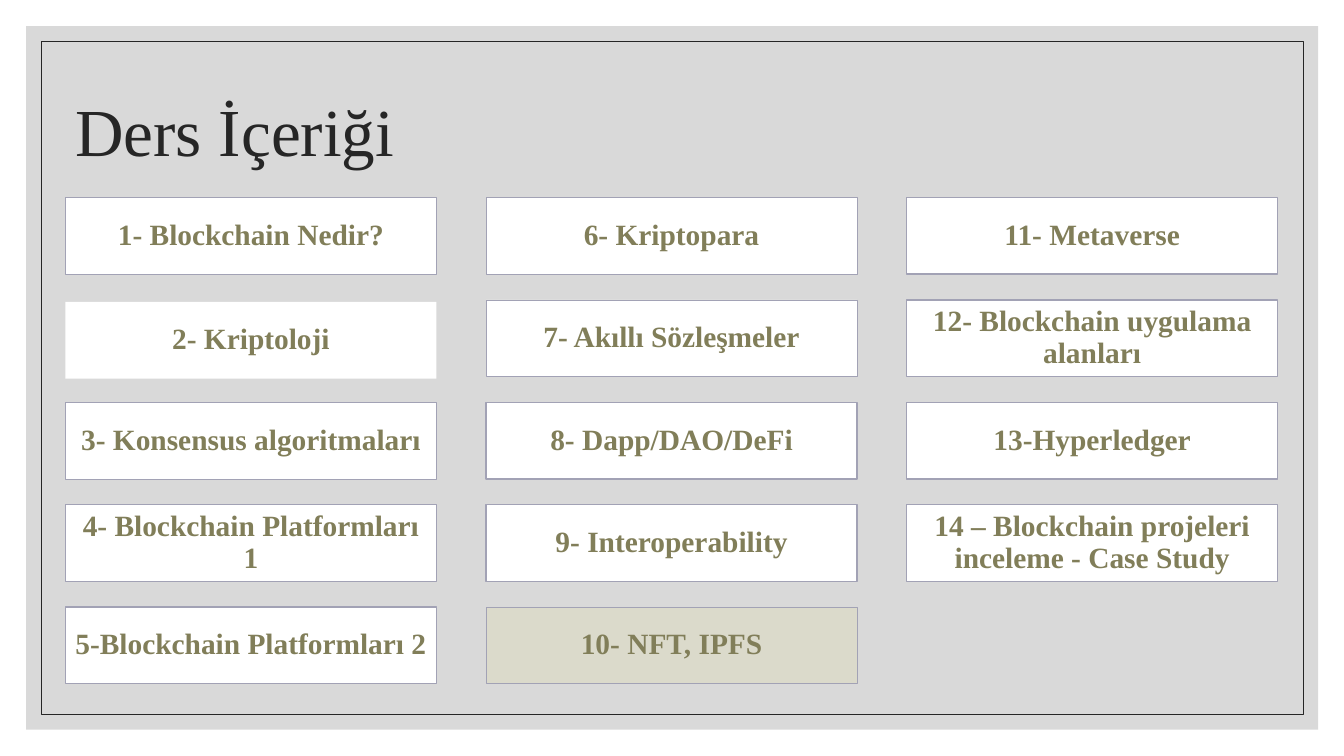
"""Build the course contents slide: a title above three columns of topic cards."""
from pptx import Presentation
from pptx import util as u
from pptx.dml.color import RGBColor
from pptx.enum import shapes, text

TITLE = "Ders İçeriği"
COLUMNS = [
    ["1- Blockchain Nedir?", "2- Kriptoloji", "3- Konsensus algoritmaları",
     "4- Blockchain Platformları 1", "5-Blockchain Platformları 2"],
    ["6- Kriptopara", "7- Akıllı Sözleşmeler", "8- Dapp/DAO/DeFi",
     "9- Interoperability", "10- NFT, IPFS"],
    ["11- Metaverse", "12- Blockchain uygulama alanları", "13-Hyperledger",
     "14 – Blockchain projeleri inceleme - Case Study"],
]
UNOUTLINED = "2- Kriptoloji"
TINTED = "10- NFT, IPFS"
THIN_OUTLINES = {"1- Blockchain Nedir?", "3- Konsensus algoritmaları",
                 "6- Kriptopara", "7- Akıllı Sözleşmeler", TINTED}

FONT = "Times New Roman"
WHITE = RGBColor(0xFF, 0xFF, 0xFF)
PANEL_GREY = RGBColor(0xD9, 0xD9, 0xD9)
DARK = RGBColor(0x26, 0x26, 0x26)
OLIVE = RGBColor(0x81, 0x7E, 0x59)
PALE_OLIVE = RGBColor(0xDB, 0xDA, 0xCB)
OUTLINE = RGBColor(0xA2, 0xA2, 0xB5)

SLIDE_WIDTH, SLIDE_HEIGHT = 33.87, 19.05
CARD_LEFT, CARD_TOP = 1.65, 4.98
CARD_WIDTH, CARD_HEIGHT = 9.35, 1.93
COLUMN_STEP, ROW_STEP = 10.6, 2.58
UNOUTLINED_DROP = 0.05


def add_rectangle(slide, left, top, width, height, fill=None, line=None, weight=1):
    shape = slide.shapes.add_shape(
        shapes.MSO_SHAPE.RECTANGLE, u.Cm(left), u.Cm(top), u.Cm(width), u.Cm(height))
    shape.shadow.inherit = False
    if fill is None:
        shape.fill.background()
    else:
        shape.fill.solid()
        shape.fill.fore_color.rgb = fill
    if line is None:
        shape.line.fill.background()
    else:
        shape.line.color.rgb = line
        shape.line.width = u.Pt(weight)
    return shape


def write_text(shape, content, size, color, bold=False,
               align=text.PP_ALIGN.LEFT, side=0.25, edge=0.13):
    frame = shape.text_frame
    frame.word_wrap = True
    frame.vertical_anchor = text.MSO_ANCHOR.MIDDLE
    frame.margin_left = frame.margin_right = u.Cm(side)
    frame.margin_top = frame.margin_bottom = u.Cm(edge)
    paragraph = frame.paragraphs[0]
    paragraph.alignment = align
    paragraph.line_spacing = 0.9
    run = paragraph.add_run()
    run.text = content
    run.font.name = FONT
    run.font.size = u.Pt(size)
    run.font.bold = bold
    run.font.color.rgb = color


def add_card(slide, topic, column, row):
    outlined = topic != UNOUTLINED
    top = CARD_TOP + row * ROW_STEP + (0 if outlined else UNOUTLINED_DROP)
    card = add_rectangle(
        slide, CARD_LEFT + column * COLUMN_STEP, top, CARD_WIDTH, CARD_HEIGHT,
        fill=PALE_OLIVE if topic == TINTED else WHITE,
        line=OUTLINE if outlined else None,
        weight=0.5 if topic in THIN_OUTLINES else 1)
    write_text(card, topic, 21, OLIVE, bold=True,
               align=text.PP_ALIGN.CENTER, side=0.2, edge=0.23)


def main():
    presentation = Presentation()
    presentation.slide_width = u.Cm(SLIDE_WIDTH)
    presentation.slide_height = u.Cm(SLIDE_HEIGHT)
    slide = presentation.slides.add_slide(presentation.slide_layouts[6])

    add_rectangle(slide, 0.66, 0.66, 32.56, 17.73, fill=PANEL_GREY)
    add_rectangle(slide, 1.04, 1.04, 31.8, 16.97, line=DARK, weight=0.5)
    title = slide.shapes.add_textbox(u.Cm(1.65), u.Cm(1.5), u.Cm(27.94), u.Cm(3.81))
    write_text(title, TITLE, 48, DARK)

    for column, topics in enumerate(COLUMNS):
        for row, topic in enumerate(topics):
            add_card(slide, topic, column, row)

    presentation.save("out.pptx")


if __name__ == "__main__":
    main()
